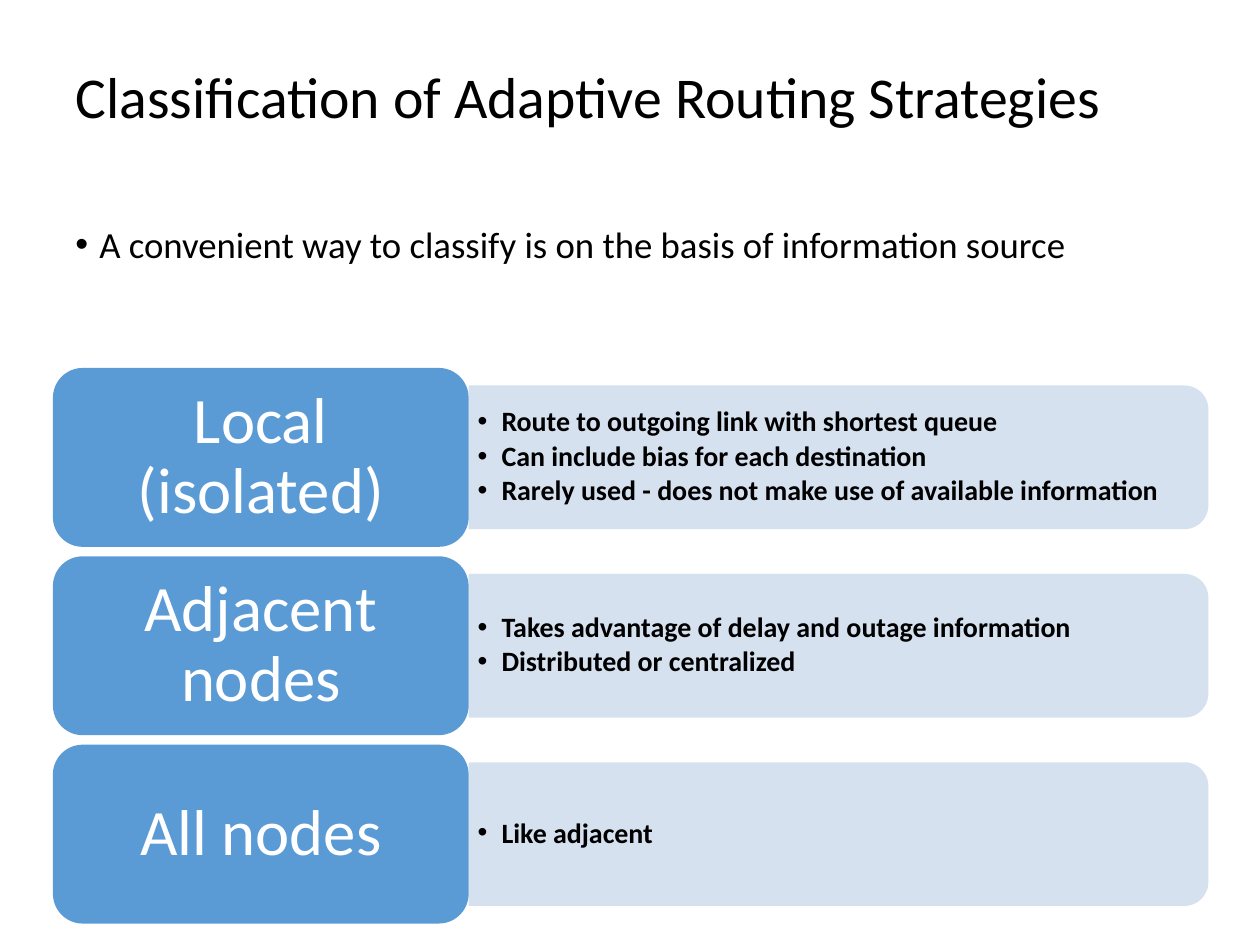
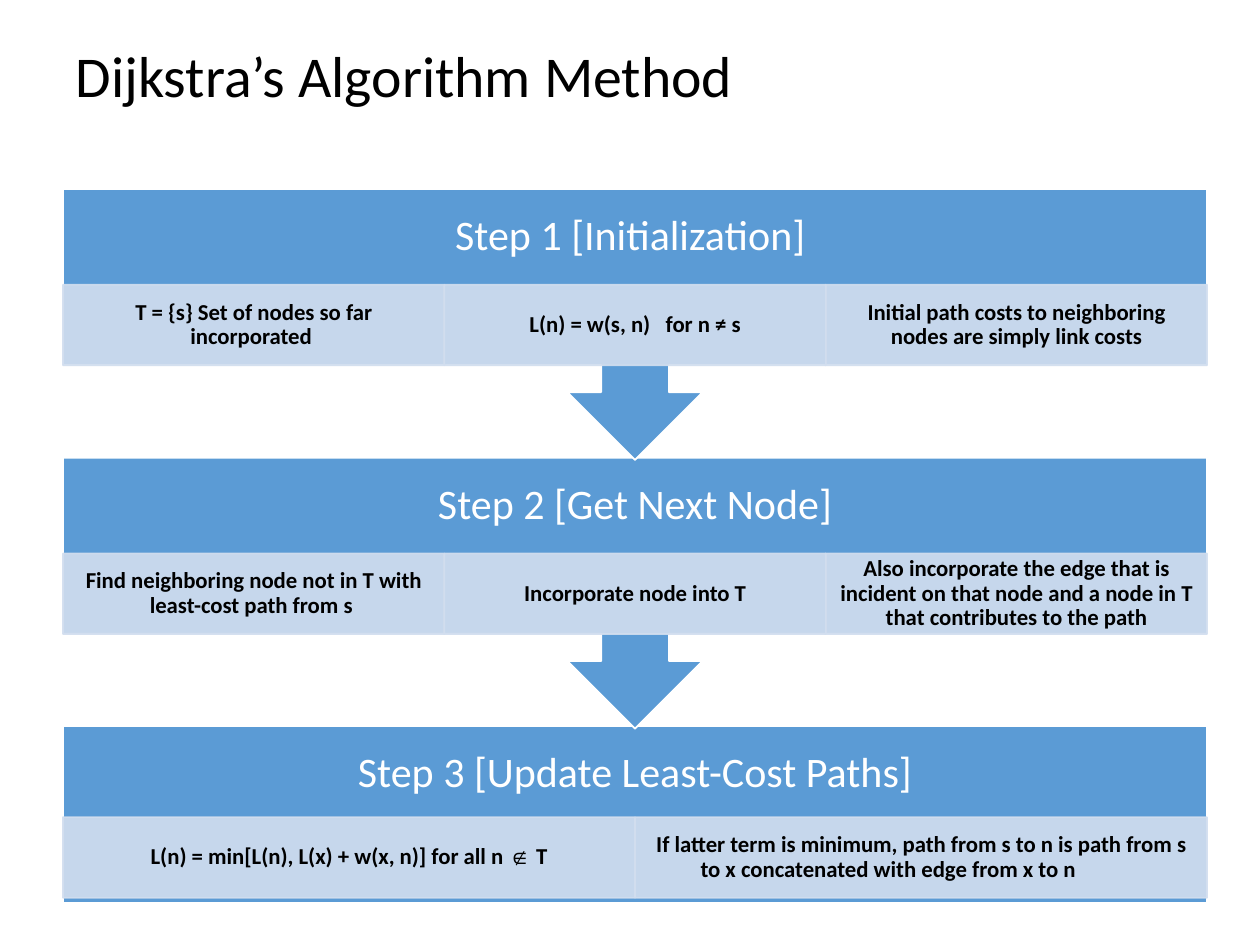
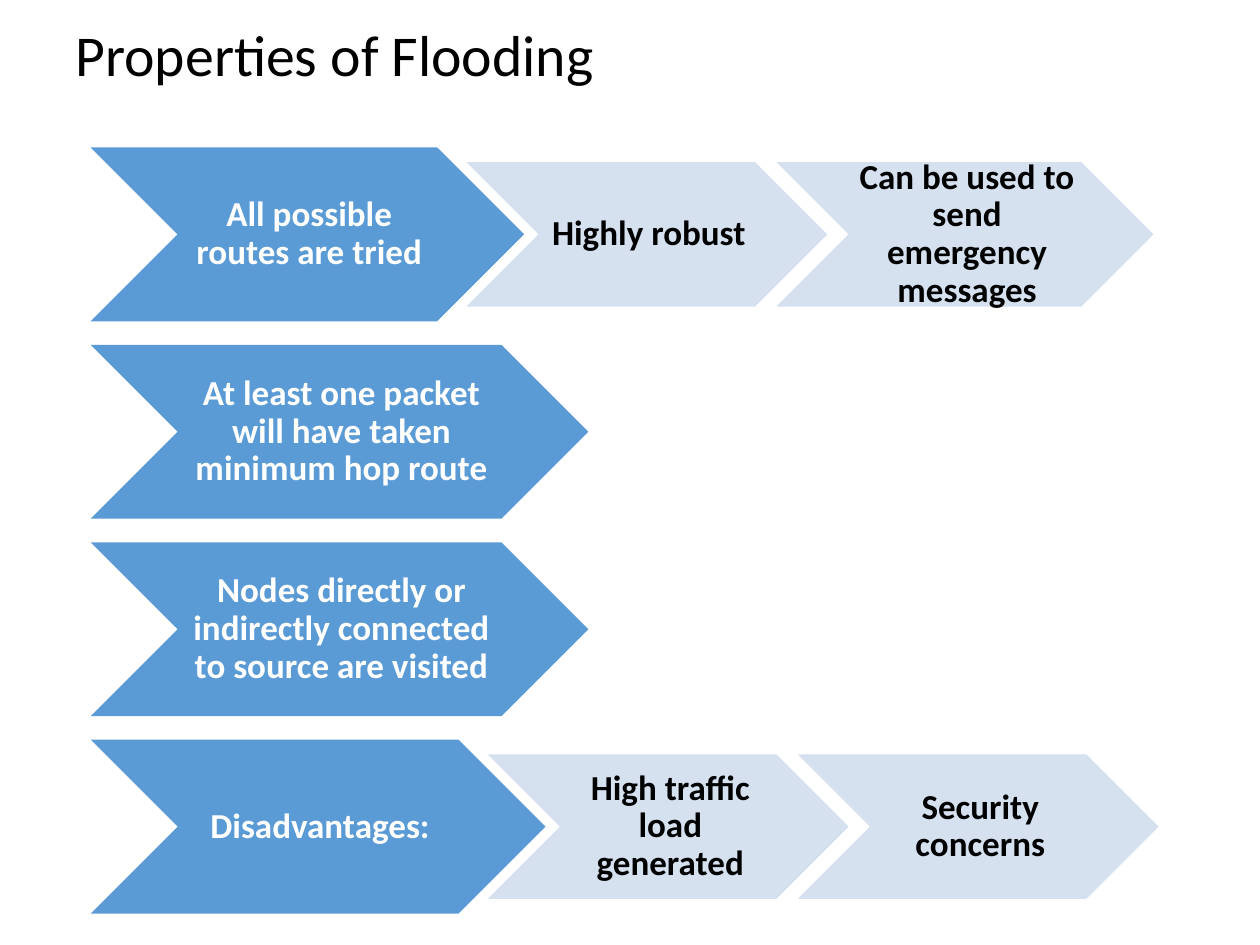
from pptx import Presentation
from pptx.dml.color import RGBColor
from pptx.enum.shapes import MSO_SHAPE
from pptx.enum.text import MSO_ANCHOR, MSO_AUTO_SIZE, PP_ALIGN
from pptx.oxml.ns import qn
from pptx.util import Inches, Pt
from lxml import etree

LEFT, CENTER = PP_ALIGN.LEFT, PP_ALIGN.CENTER
TOP, MIDDLE = MSO_ANCHOR.TOP, MSO_ANCHOR.MIDDLE
NO_FIT = MSO_AUTO_SIZE.NONE
RECT, ROUND_RECT = MSO_SHAPE.RECTANGLE, MSO_SHAPE.ROUNDED_RECTANGLE
ROUND_SIDE = MSO_SHAPE.ROUND_2_SAME_RECTANGLE
CALLOUT, CHEVRON = MSO_SHAPE.UP_ARROW_CALLOUT, MSO_SHAPE.CHEVRON
TITLE_ONLY = 5

FONT, SYMBOL_FONT = "Calibri", "Arial"
BLUE, TINT, WHITE, BLACK = "5B9BD5", "D2DEEF", "FFFFFF", "000000"


def rgb(color):
    """Turn a hex string into a colour."""
    return RGBColor.from_string(color)


def add_bullet(p):
    """Give a paragraph a hanging bullet."""
    pPr = p._p.get_or_add_pPr()
    pPr.set("marL", str(Inches(0.19)))
    pPr.set("indent", str(-Inches(0.19)))
    etree.SubElement(pPr, qn("a:buFont"), typeface=SYMBOL_FONT)
    etree.SubElement(pPr, qn("a:buChar"), char="•")


def put_text(sp, paragraphs, size=20, color=BLACK, bold=False, align=CENTER,
             anchor=MIDDLE, insets=(0.1, 0.05, 0.1, 0.05), bullets=False,
             before=0, after=0):
    """Fill a shape with paragraphs, each a string or a list of (text, font) runs."""
    tf = sp.text_frame
    tf.word_wrap = True
    tf.auto_size = NO_FIT
    tf.vertical_anchor = anchor
    tf.margin_left, tf.margin_top, tf.margin_right, tf.margin_bottom = map(Inches, insets)
    for i, runs in enumerate(paragraphs):
        p = tf.add_paragraph() if i else tf.paragraphs[0]
        p.alignment = align
        p.line_spacing = 0.9
        p.space_before, p.space_after = Pt(before), Pt(after)
        if bullets:
            add_bullet(p)
        for text, font in [(runs, FONT)] if isinstance(runs, str) else runs:
            r = p.add_run()
            r.text = text
            r.font.name, r.font.size, r.font.bold = font, Pt(size), bold
            r.font.color.rgb = rgb(color)


class Deck:
    """Hold the shared style and the current slide."""

    def __init__(self):
        """Start an empty 4:3 presentation."""
        self.prs = Presentation()
        self.prs.slide_width, self.prs.slide_height = Inches(10), Inches(7.5)

    def slide(self, title, top):
        """Add a slide with its title."""
        self.s = self.prs.slides.add_slide(self.prs.slide_layouts[TITLE_ONLY])
        sp = self.s.shapes.title
        sp.left, sp.top, sp.width, sp.height = map(Inches, (0.5, top, 9, 1.25))
        put_text(sp, [title], size=33, align=LEFT)

    def text(self, box, paragraphs, **style):
        """Add a text box."""
        put_text(self.s.shapes.add_textbox(*map(Inches, box)), paragraphs, **style)

    def shape(self, kind, box, fill=BLUE, line=None, width=1, rotation=0):
        """Add a filled preset shape; tinted ones let 10% through."""
        sp = self.s.shapes.add_shape(kind, *map(Inches, box))
        sp.shadow.inherit = False
        sp.rotation = rotation
        sp.fill.solid()
        sp.fill.fore_color.rgb = rgb(fill)
        if line:
            sp.line.color.rgb = rgb(line)
            sp.line.width = Pt(width)
        else:
            sp.line.fill.background()
        if fill == TINT:
            for clr in sp._element.spPr.iter(qn("a:srgbClr")):
                etree.SubElement(clr, qn("a:alpha"), val="90000")
        return sp

    def category(self, top, name, points):
        """Add a named block with a panel of points on its right."""
        left, width, height = 3.72, 5.87, 1.14
        middle = top + 0.71
        self.shape(ROUND_SIDE, (left + (width - height) / 2, middle - width / 2,
                                height, width), TINT, rotation=90)
        self.text((left, middle - 0.515, 5.81, 1.03), points, size=16, bold=True,
                  align=LEFT, insets=(0.07, 0.03, 0.07, 0.03), bullets=True, after=2.4)
        sp = self.shape(ROUND_RECT, (0.42, top, 3.3, 1.42))
        put_text(sp, [name], size=37, color=WHITE, insets=(0.15, 0.08, 0.15, 0.08))

    def step(self, top, name, cells, last):
        """Add a step with a row of cells, and an arrow down unless it is the last."""
        left, width = 0.5, 9.08
        if last:
            self.shape(RECT, (left, top, width, 1.4), line=WHITE)
        else:
            self.shape(CALLOUT, (left, top, width, 2.15), line=WHITE, rotation=180)
        self.text((left, top, width, 0.76), [name], size=24, color=WHITE,
                  insets=(0.19,) * 4)
        cell_top = top + (0.72 if last else 0.76)
        cell_width = width / len(cells)
        for i, cell in enumerate(cells):
            sp = self.shape(RECT, (left + i * cell_width, cell_top, cell_width, 0.64),
                            TINT, line=TINT)
            put_text(sp, [cell], size=13, bold=True, insets=(0.1, 0.02, 0.1, 0.02))

    def chevrons(self, top, items):
        """Add a row of overlapping chevrons from (text, width) pairs, the first one blue."""
        left, middle = 0.72, top + 0.69
        for i, (text, width) in enumerate(items):
            height = 1.14 if i else 1.38
            fill, line, color = (TINT, TINT, BLACK) if i else (BLUE, None, WHITE)
            sp = self.shape(CHEVRON, (left, middle - height / 2, width, height),
                            fill, line, width=0.5)
            put_text(sp, [text], color=color, bold=True, insets=(0.03, 0.01, 0, 0.01))
            left += width - (0.39 if i else 0.45)


CATEGORIES = [
    ("Local (isolated)", ["Route to outgoing link with shortest queue",
                          "Can include bias for each destination",
                          "Rarely used - does not make use of available information"]),
    ("Adjacent nodes", ["Takes advantage of delay and outage information",
                        "Distributed or centralized"]),
    ("All nodes", ["Like adjacent"]),
]
STEPS = [
    ("Step 1 [Initialization] ", ["T = {s} Set of nodes so far incorporated ",
                                  "L(n) = w(s, n)   for n ≠ s",
                                  "Initial path costs to neighboring nodes are simply link costs"]),
    ("Step 2 [Get Next Node]", ["Find neighboring node not in T with least-cost path from s ",
                                "Incorporate node into T",
                                "Also incorporate the edge that is incident on that node "
                                "and a node in T that contributes to the path"]),
    ("Step 3 [Update Least-Cost Paths]", [
        [("L(n) = min[L(n), L(x) + w(x, n)] for all n ", FONT), ("∉", SYMBOL_FONT), (" T", FONT)],
        "If latter term is minimum, path from s to n is path from s to x "
        "concatenated with edge from x to n\t\t"]),
]
PROPERTIES = [
    [("All possible routes are tried", 3.44), ("Highly robust", 2.85),
     ("Can be used to send emergency messages", 2.98)],
    [("At least one packet will have taken minimum hop route", 3.95)],
    [("Nodes directly or indirectly connected to source are visited", 3.95)],
    [("Disadvantages:", 3.61), ("High traffic load generated", 2.85),
     ("Security concerns", 2.85)],
]


def main():
    """Build the three slides."""
    deck = Deck()

    deck.slide("Classification of Adaptive Routing Strategies", 0.17)
    deck.text((0.5, 1.75, 9.17, 1),
              ["A convenient way to classify is on the basis of information source"],
              size=21, align=LEFT, anchor=TOP, bullets=True, before=7.5)
    for i, (name, points) in enumerate(CATEGORIES):
        deck.category(2.92 + i * 1.495, name, points)

    deck.slide("Dijkstra’s Algorithm Method", 0)
    for i, (name, cells) in reversed(list(enumerate(STEPS))):
        deck.step(1.5 + i * 2.133, name, cells, last=i == len(STEPS) - 1)

    deck.slide("Properties of Flooding", -0.17)
    for i, items in enumerate(PROPERTIES):
        deck.chevrons(1.17 + i * 1.567, items)

    deck.prs.save("out.pptx")


if __name__ == "__main__":
    main()
